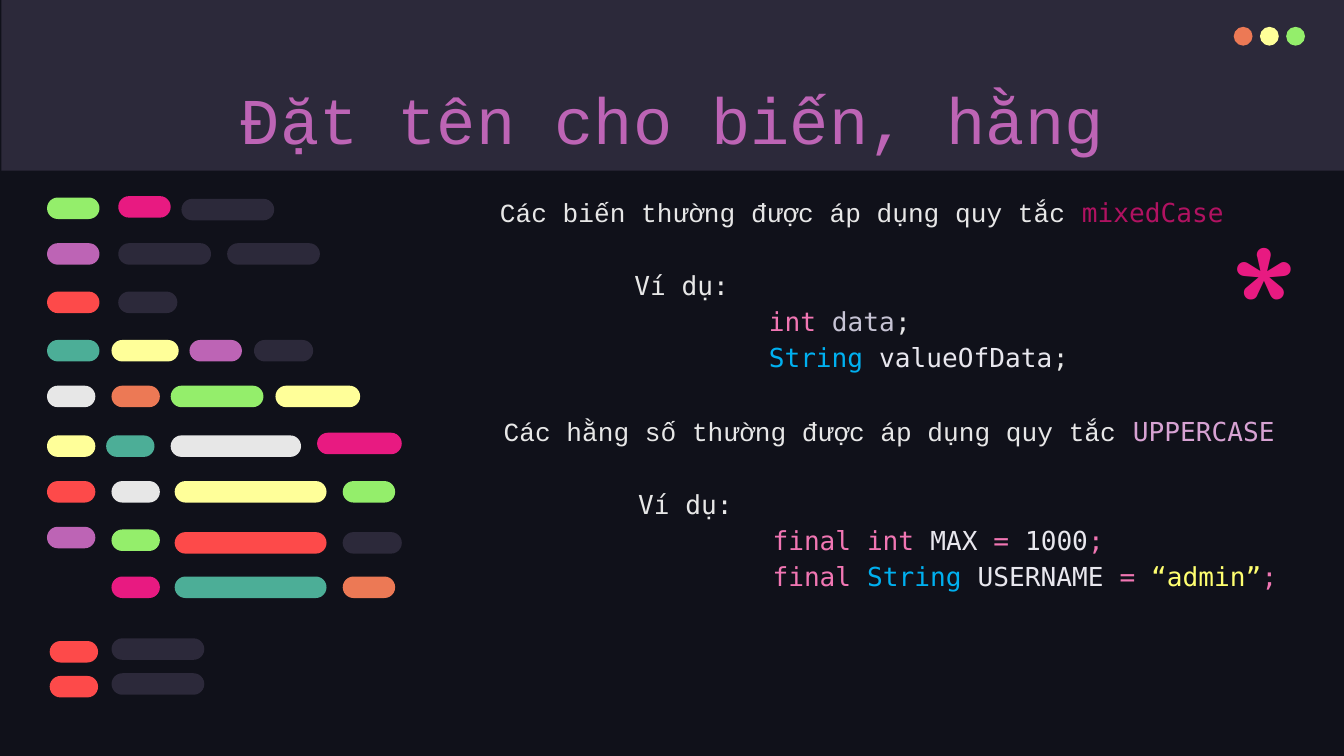
"""Build a slide on naming conventions for variables and constants."""
from typing import NamedTuple

import pptx
import pptx.dml.color
import pptx.enum.shapes
import pptx.enum.text
import pptx.util
from pptx.dml.color import RGBColor
from pptx.util import Inches

NIGHT = RGBColor(0x10, 0x11, 0x1A)
SLATE = RGBColor(0x2C, 0x29, 0x3A)
ORANGE = RGBColor(0xEC, 0x79, 0x55)
YELLOW = RGBColor(0xFF, 0xFF, 0x99)
GREEN = RGBColor(0x94, 0xEE, 0x6B)
PURPLE = RGBColor(0xBD, 0x64, 0xB5)
PINK = RGBColor(0xE8, 0x1A, 0x81)
RED = RGBColor(0xFD, 0x4A, 0x4A)
TEAL = RGBColor(0x4C, 0xAE, 0x97)
LIGHT = RGBColor(0xE7, 0xE7, 0xE7)
CRIMSON = RGBColor(0xB0, 0x12, 0x61)
KEYWORD = RGBColor(0xF1, 0x76, 0xB3)
TYPE = RGBColor(0x00, 0xB0, 0xF0)
NAME = RGBColor(0xE8, 0xE7, 0xEE)
GREY = RGBColor(0xC6, 0xC3, 0xD4)
LILAC = RGBColor(0xD7, 0xA2, 0xD3)
STRING = RGBColor(0xFF, 0xFF, 0x70)

PROSE_FONT = "Courier New"
CODE_FONT = "DejaVu Sans Mono"
SHAPE = pptx.enum.shapes.MSO_SHAPE
ALIGN = pptx.enum.text.PP_ALIGN


class Bar(NamedTuple):
    left: float
    width: float
    color: RGBColor


class BarRow(NamedTuple):
    top: float
    bars: list[Bar]


class Span(NamedTuple):
    text: str
    color: RGBColor
    font: str = CODE_FONT


class Line(NamedTuple):
    spans: list[Span]
    indent: float = 0
    space_before: float = 0


BAR_ROWS = [
    BarRow(1.47, [Bar(0.35, 0.39, GREEN)]),
    BarRow(1.46, [Bar(0.88, 0.39, PINK)]),
    BarRow(1.48, [Bar(1.35, 0.69, SLATE)]),
    BarRow(1.81, [Bar(0.35, 0.39, PURPLE), Bar(0.88, 0.69, SLATE), Bar(1.69, 0.69, SLATE)]),
    BarRow(2.17, [Bar(0.35, 0.39, RED), Bar(0.88, 0.44, SLATE)]),
    BarRow(2.53, [Bar(0.35, 0.39, TEAL), Bar(0.83, 0.5, YELLOW),
                  Bar(1.41, 0.39, PURPLE), Bar(1.89, 0.44, SLATE)]),
    BarRow(2.87, [Bar(0.35, 0.36, LIGHT), Bar(0.83, 0.36, ORANGE),
                  Bar(1.27, 0.69, GREEN), Bar(2.05, 0.63, YELLOW)]),
    BarRow(3.24, [Bar(0.35, 0.36, YELLOW), Bar(0.79, 0.36, TEAL), Bar(1.27, 0.97, LIGHT)]),
    BarRow(3.22, [Bar(2.36, 0.63, PINK)]),
    BarRow(3.58, [Bar(0.35, 0.36, RED), Bar(0.83, 0.36, LIGHT),
                  Bar(1.3, 1.13, YELLOW), Bar(2.55, 0.39, GREEN)]),
    BarRow(3.92, [Bar(0.35, 0.36, PURPLE)]),
    BarRow(3.94, [Bar(0.83, 0.36, GREEN)]),
    BarRow(3.96, [Bar(1.3, 1.13, RED), Bar(2.55, 0.44, SLATE)]),
    BarRow(4.29, [Bar(0.83, 0.36, PINK), Bar(1.3, 1.13, TEAL), Bar(2.55, 0.39, ORANGE)]),
    BarRow(4.77, [Bar(0.37, 0.36, RED)]),
    BarRow(4.75, [Bar(0.83, 0.69, SLATE)]),
    BarRow(5.03, [Bar(0.37, 0.36, RED)]),
    BarRow(5.01, [Bar(0.83, 0.69, SLATE)]),
]

EXAMPLE = Line([Span("Ví dụ:", LIGHT)], 1, 19.3)
VARIABLE_LINES = [
    Line([Span("Các biến thường được áp dụng quy tắc ", LIGHT, PROSE_FONT),
          Span("mixedCase", CRIMSON)]),
    EXAMPLE,
    Line([Span("int ", KEYWORD), Span("data", GREY), Span(";", LIGHT)], 2),
    Line([Span("String ", TYPE), Span("valueOfData", NAME), Span(";", LIGHT)], 2),
]
CONSTANT_LINES = [
    Line([Span("Các hằng số thường được áp dụng quy tắc ", LIGHT, PROSE_FONT),
          Span("UPPERCASE", LILAC)]),
    EXAMPLE,
    Line([Span("final int ", KEYWORD), Span("MAX", NAME), Span(" = ", KEYWORD),
          Span("1000", NAME), Span(";", KEYWORD)], 2),
    Line([Span("final ", KEYWORD), Span("String ", TYPE), Span("USERNAME", NAME),
          Span(" = ", KEYWORD), Span("“admin”", STRING), Span(";", KEYWORD)], 2),
]


def draw_shape(shapes, kind, left: float, top: float, width: float, height: float,
               color: RGBColor):
    shape = shapes.add_shape(kind, Inches(left), Inches(top), Inches(width), Inches(height))
    shape.shadow.inherit = False
    shape.fill.solid()
    shape.fill.fore_color.rgb = color
    shape.line.fill.background()
    return shape


def place(box, left: float, top: float, width: float, height: float) -> None:
    box.left, box.top = Inches(left), Inches(top)
    box.width, box.height = Inches(width), Inches(height)


def prepare_frame(box):
    frame = box.text_frame
    frame.word_wrap = True
    frame.auto_size = pptx.enum.text.MSO_AUTO_SIZE.NONE
    frame.vertical_anchor = pptx.enum.text.MSO_ANCHOR.TOP
    frame.margin_left = frame.margin_right = Inches(0.1)
    frame.margin_top = frame.margin_bottom = Inches(0.1)
    return frame


def write_single(box, text: str, size: float, font: str, color: RGBColor, align) -> None:
    para = prepare_frame(box).paragraphs[0]
    para.alignment = align
    para.font.size = pptx.util.Pt(size)
    para.font.name = font
    para.font.color.rgb = color
    para.add_run().text = text


def write_lines(box, lines: list[Line]) -> None:
    frame = prepare_frame(box)
    for index, line in enumerate(lines):
        para = frame.add_paragraph() if index else frame.paragraphs[0]
        para.alignment = ALIGN.LEFT
        para.line_spacing = 1.15
        para.space_before = pptx.util.Pt(line.space_before)
        properties = para._p.get_or_add_pPr()
        properties.set("marL", str(Inches(line.indent)))
        properties.set("indent", "0")
        para.font.size = pptx.util.Pt(14)
        for span in line.spans:
            run = para.add_run()
            run.text = span.text
            run.font.name = span.font
            run.font.color.rgb = span.color


def main() -> None:
    deck = pptx.Presentation()
    deck.slide_width = Inches(10)
    deck.slide_height = deck.slide_width * 9 // 16
    page = deck.slides.add_slide(deck.slide_layouts[0])
    page.background.fill.solid()
    page.background.fill.fore_color.rgb = NIGHT

    title, body = page.shapes.title, page.placeholders[1]
    header = draw_shape(page.shapes, SHAPE.RECTANGLE, 0.01, 0, 10, 1.27, SLATE)
    title.element.addprevious(header.element)
    place(title, 0.79, 0.49, 8.43, 0.63)
    write_single(title, "Đặt tên cho biến, hằng", 35, PROSE_FONT, PURPLE, ALIGN.CENTER)
    place(body, 3.62, 1.33, 5.94, 1.63)
    write_lines(body, VARIABLE_LINES)

    dots = page.shapes.add_group_shape()
    for index, color in enumerate((ORANGE, YELLOW, GREEN)):
        draw_shape(dots.shapes, SHAPE.OVAL, 9.18 + index * 0.195, 0.2, 0.14, 0.14, color)

    code_bars = page.shapes.add_group_shape()
    for row in BAR_ROWS:
        for bar in row.bars:
            pill = draw_shape(code_bars.shapes, SHAPE.ROUNDED_RECTANGLE,
                              bar.left, row.top, bar.width, 0.16, bar.color)
            pill.adjustments[0] = 0.5

    asterisk = page.shapes.add_textbox(Inches(9.05), Inches(1.46), Inches(0.57), Inches(0.87))
    write_single(asterisk, "*", 96, "Comfortaa", PINK, ALIGN.LEFT)
    constants = page.shapes.add_textbox(Inches(3.65), Inches(2.96), Inches(6.1), Inches(2.07))
    write_lines(constants, CONSTANT_LINES)
    deck.save("out.pptx")


if __name__ == "__main__":
    main()
